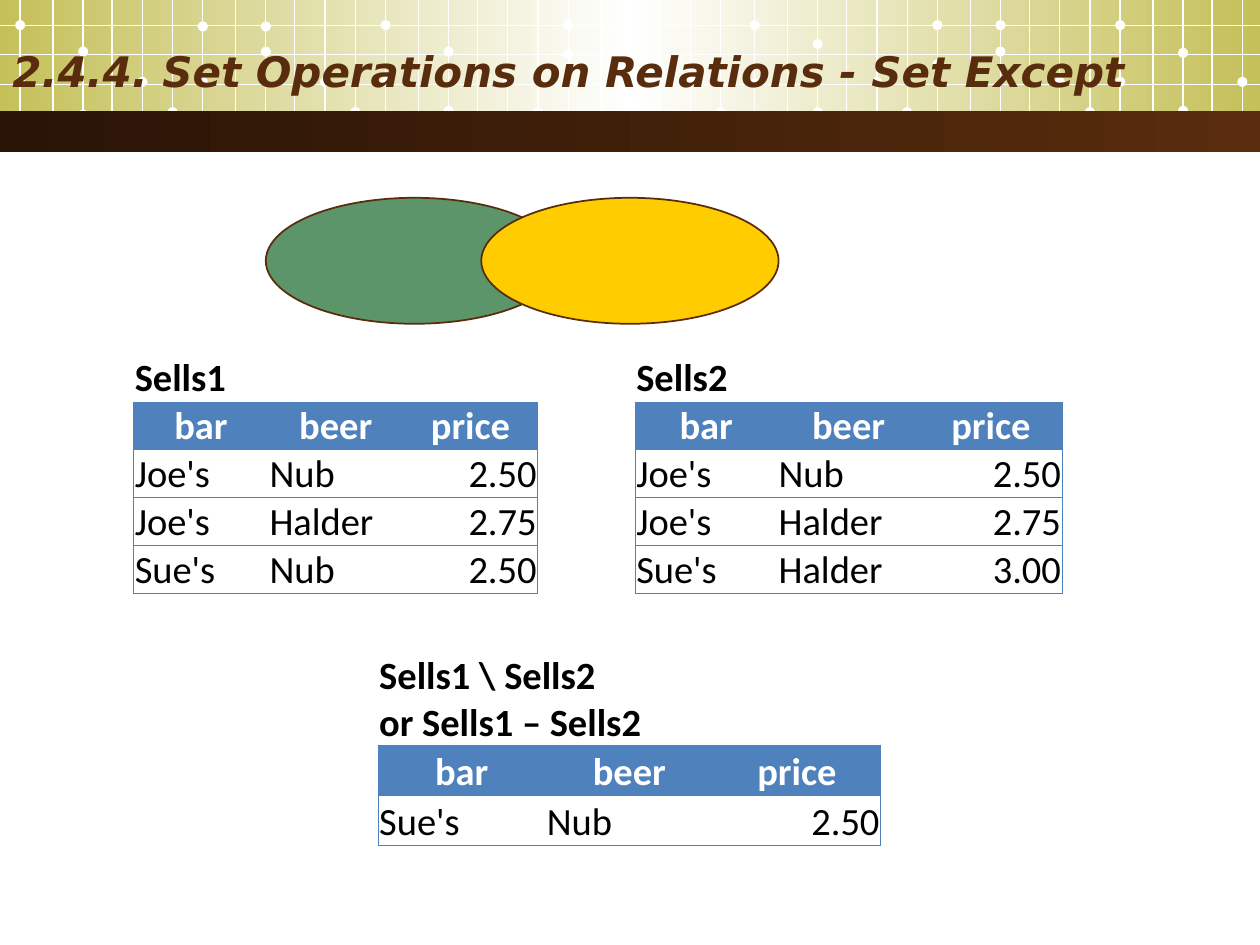
"""Builds a slide on the set difference of two relations."""
from copy import deepcopy

from lxml.etree import SubElement
from pptx import Presentation
from pptx.dml.color import RGBColor as Color
from pptx.enum.shapes import MSO_CONNECTOR as Connector, MSO_SHAPE as Preset
from pptx.enum.text import MSO_ANCHOR as Anchor, PP_ALIGN as Align
from pptx.oxml.ns import qn
from pptx.util import Inches, Pt

THEME = {
    "olive": "C5C059", "white": "FFFFFF", "black": "000000", "dark": "291406",
    "brown": "592C0D", "green": "5B9569", "yellow": "FFCC00", "blue": "4F81BD",
    "title_font": "DejaVu Sans", "table_font": "Calibri",
    "title_size": 24, "table_size": 22,
    "grid_line": 0.75, "outline": 1, "border": 0.5,
    "plain_table": "{2D5ABB26-0587-4C30-8999-92F81FD0307C}",
}
WIDTH, HEIGHT = 10, 7.5
TITLE = "2.4.4. Set Operations on Relations - Set Except"
HEADER = ["bar", "beer", "price"]
ALIGNS = [Align.LEFT, Align.LEFT, Align.RIGHT]
TABLES = [
    {"caption": ["Sells1"], "place": (1.06, 2.81, 3.21), "heights": (0.38, 0.38),
     "rows": [["Joe's", "Nub", "2.50"], ["Joe's", "Halder", "2.75"], ["Sue's", "Nub", "2.50"]]},
    {"caption": ["Sells2"], "place": (5.04, 2.81, 3.39), "heights": (0.38, 0.38),
     "rows": [["Joe's", "Nub", "2.50"], ["Joe's", "Halder", "2.75"], ["Sue's", "Halder", "3.00"]]},
    {"caption": ["Sells1 \\ Sells2", "or Sells1 – Sells2"], "place": (3, 5.17, 3.99),
     "heights": (0.74, 0.4), "rows": [["Sue's", "Nub", "2.50"]]},
]
SETS = [("green", 2.11), ("yellow", 3.82)]
GRID_ROWS = [0.2, 0.43, 0.67, 0.89]
GRID_STEPS = [0, 0.26, 0.5, 0.73, 0.97, 1.21]
GROUPS = [
    (0.16, (0.61, 0.16), (0.37, 0.87)), (1.61, (0.61, 0.17), (0.37, 0.17)),
    (3.06, (0.61, 0.16), (0.37, 0.84)), (4.51, (0.39, 0.16), (0.38, 0.16)),
    (5.99, (0.62, 0.16), (0.31, 0.85)), (7.44, (0.47, 0.16), (0.37, 0.16)),
    (8.89, (0.61, 0.16), (0.38, 0.84)),
]
DOT = 0.08


def color(name):
    return Color.from_string(THEME[name])


def assign(target, values):
    for name, value in values.items():
        setattr(target, name, value)


def add_preset(slide, preset, box, fill=None, outline=None):
    shape = slide.shapes.add_shape(preset, *map(Inches, box))
    shape.shadow.inherit = False
    if fill:
        shape.fill.solid()
        shape.fill.fore_color.rgb = color(fill)
    if outline:
        shape.line.color.rgb = color(outline)
        shape.line.width = Pt(THEME["outline"])
    else:
        shape.line.fill.background()
    return shape


def add_gradient(slide, box, names):
    shape = add_preset(slide, Preset.RECTANGLE, box)
    shape.fill.gradient()
    shape.fill.gradient_angle = 0
    stops = shape.element.spPr.find(".//" + qn("a:gsLst"))
    while len(stops) < len(names):
        stops.append(deepcopy(stops[0]))
    for index, (stop, name) in enumerate(zip(shape.fill.gradient_stops, names)):
        stop.color.rgb = color(name)
        stop.position = index / (len(names) - 1)


def add_line(slide, *ends):
    line = slide.shapes.add_connector(Connector.STRAIGHT, *map(Inches, ends))
    line.line.color.rgb = color("white")
    line.line.width = Pt(THEME["grid_line"])
    SubElement(line.element.spPr, qn("a:effectLst"))


def add_banner(slide):
    add_gradient(slide, (0, 0, WIDTH, 1.03), ["olive", "white", "olive"])
    for start, first, third in GROUPS:
        columns = [start + step for step in GRID_STEPS if start + step < WIDTH]
        for x in columns:
            add_line(slide, x, 0, x, 1.1)
        for x, tops in zip(columns, [first, (), third, (), (0.61,), (0.85,)]):
            for top in tops:
                add_preset(slide, Preset.OVAL, (x - DOT / 2, top, DOT, DOT), "white")
    for y in GRID_ROWS:
        add_line(slide, 0, y, WIDTH, y)
    add_gradient(slide, (0, 0.88, WIDTH, 0.33), ["dark", "brown"])


def add_title(slide):
    frame = slide.shapes.add_textbox(*map(Inches, (0, 0.25, 9.88, 0.62))).text_frame
    assign(frame, {"word_wrap": True, "vertical_anchor": Anchor.MIDDLE, "text": TITLE})
    font = frame.paragraphs[0].runs[0].font
    assign(font, {"name": THEME["title_font"], "size": Pt(THEME["title_size"]),
                  "bold": True, "italic": True})
    font.color.rgb = color("brown")


def add_borders(cell, sides):
    properties = cell._tc.get_or_add_tcPr()
    for side in sides:
        line = SubElement(properties, qn("a:ln" + side), w=str(Pt(THEME["border"])))
        fill = SubElement(line, qn("a:solidFill"))
        SubElement(fill, qn("a:srgbClr"), val=THEME["blue"])


def format_cell(cell, text, sides, align, bold, ink, fill=None):
    assign(cell, {"text": text, "vertical_anchor": Anchor.BOTTOM, "margin_left": Inches(0.01),
                  "margin_right": Inches(0.01), "margin_top": Inches(0.01), "margin_bottom": 0})
    add_borders(cell, sides)
    if fill:
        cell.fill.solid()
        cell.fill.fore_color.rgb = color(fill)
    else:
        cell.fill.background()
    for paragraph in cell.text_frame.paragraphs:
        paragraph.alignment = align
        for font in [paragraph.font] + [run.font for run in paragraph.runs]:
            assign(font, {"name": THEME["table_font"], "size": Pt(THEME["table_size"]),
                          "bold": bold})
            font.color.rgb = color(ink)


def add_relation(slide, caption, place, heights, rows):
    left, top, width = place
    grid = [["\n".join(caption), "", ""], HEADER] + rows
    row_heights = [heights[0]] + [heights[1]] * (len(grid) - 1)
    box = map(Inches, (left, top, width, sum(row_heights)))
    table = slide.shapes.add_table(len(grid), len(HEADER), *box).table
    assign(table, {"first_row": False, "horz_banding": False})
    table._tbl.tblPr.find(qn("a:tableStyleId")).text = THEME["plain_table"]
    for column in table.columns:
        column.width = Inches(width / len(HEADER))
    for row, height in zip(table.rows, row_heights):
        row.height = Inches(height)
    edges = [["L", "T", "B"], ["T", "B"], ["R", "T", "B"]]
    for r, texts in enumerate(grid):
        for c, text in enumerate(texts):
            cell = table.cell(r, c)
            if r == 0:
                format_cell(cell, text, ["B"], Align.LEFT, True, "black")
            elif r == 1:
                format_cell(cell, text, edges[c], Align.CENTER, True, "white", "blue")
            else:
                format_cell(cell, text, edges[c], ALIGNS[c], False, "black")
    if len(caption) > 1:
        table.cell(0, 0).merge(table.cell(0, len(HEADER) - 1))


def main():
    presentation = Presentation()
    assign(presentation, {"slide_width": Inches(WIDTH), "slide_height": Inches(HEIGHT)})
    slide = presentation.slides.add_slide(presentation.slide_layouts[6])
    add_banner(slide)
    add_title(slide)
    for name, left in SETS:
        add_preset(slide, Preset.OVAL, (left, 1.57, 2.36, 1), name, "brown")
    for relation in TABLES:
        add_relation(slide, **relation)
    presentation.save("out.pptx")


if __name__ == "__main__":
    main()
